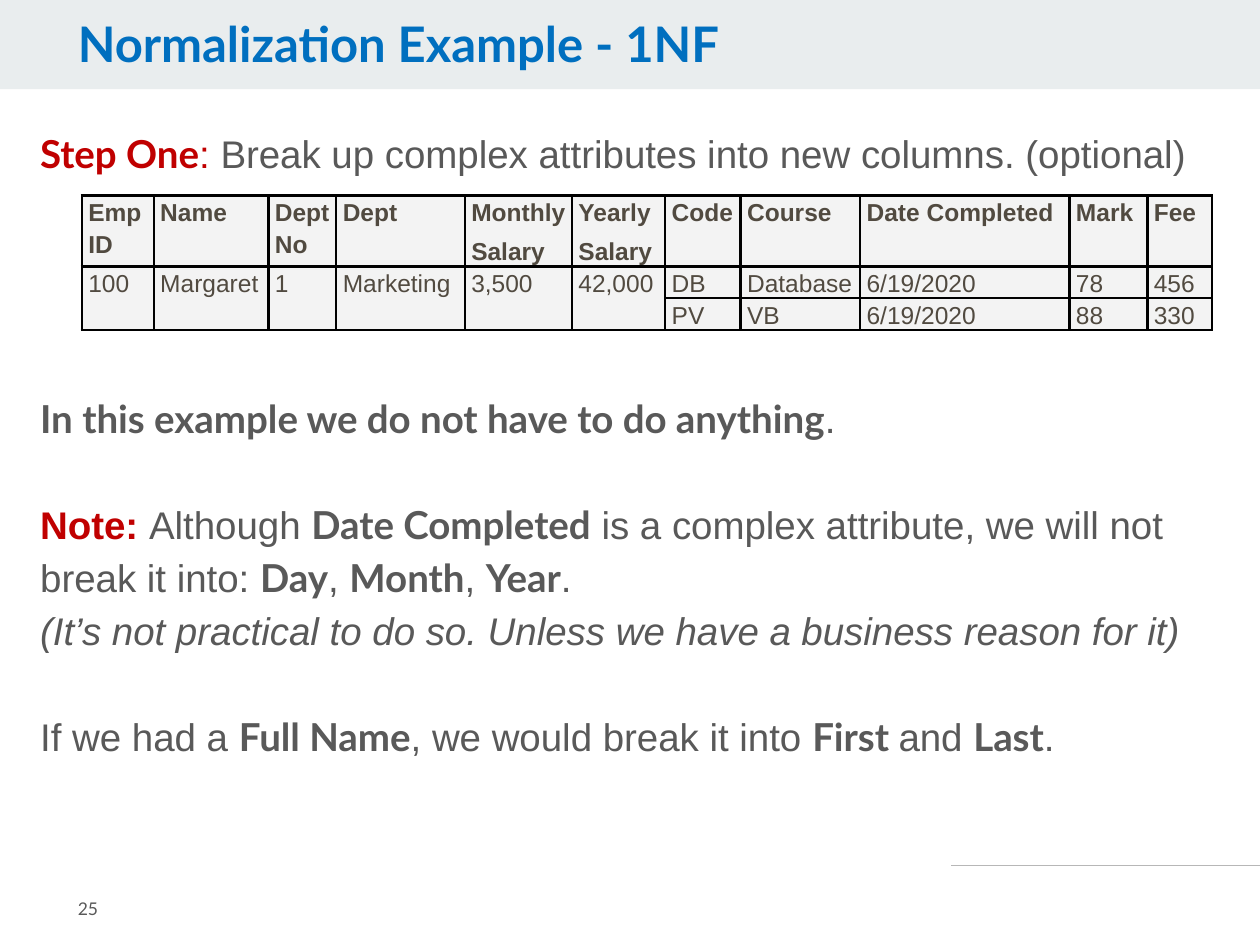
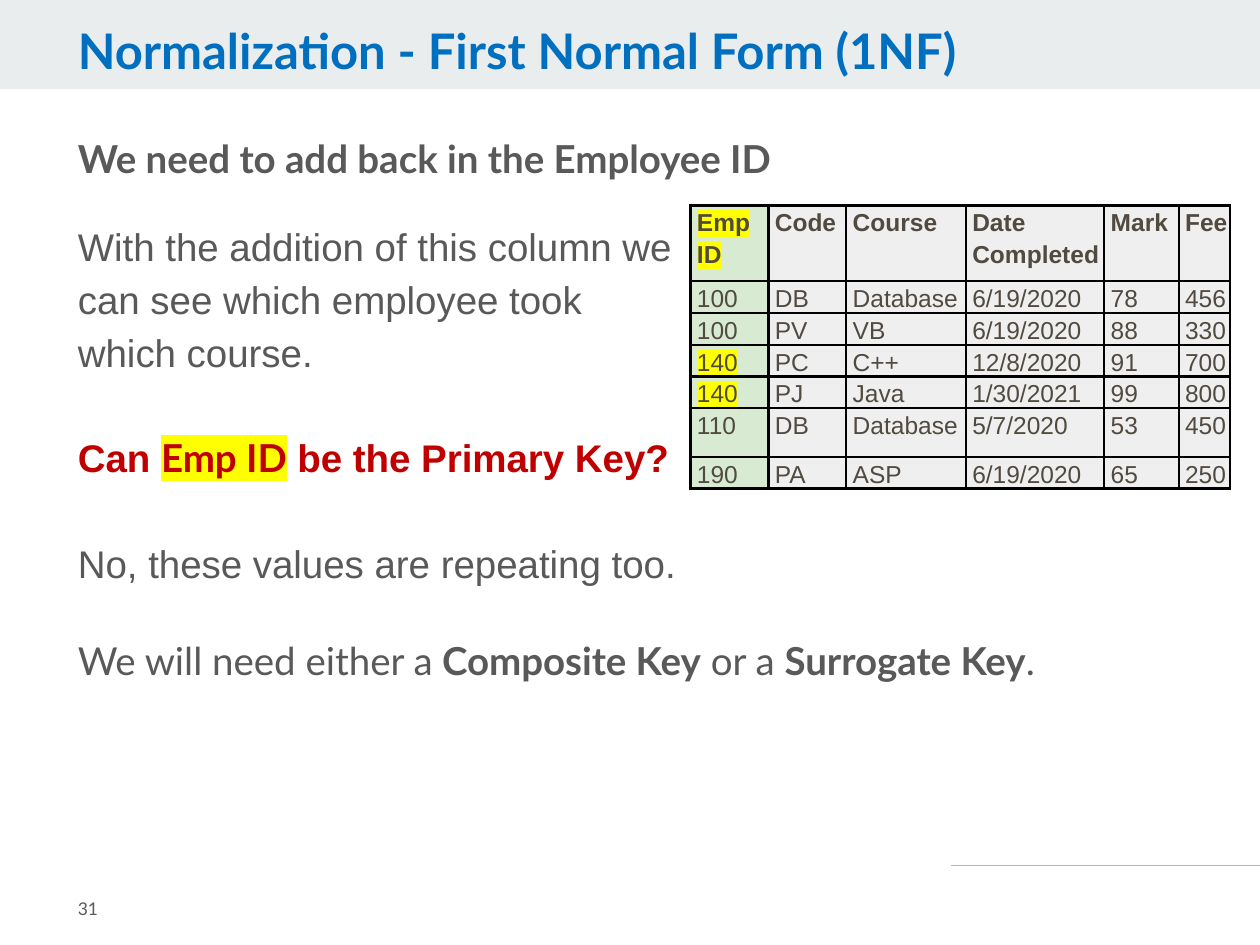
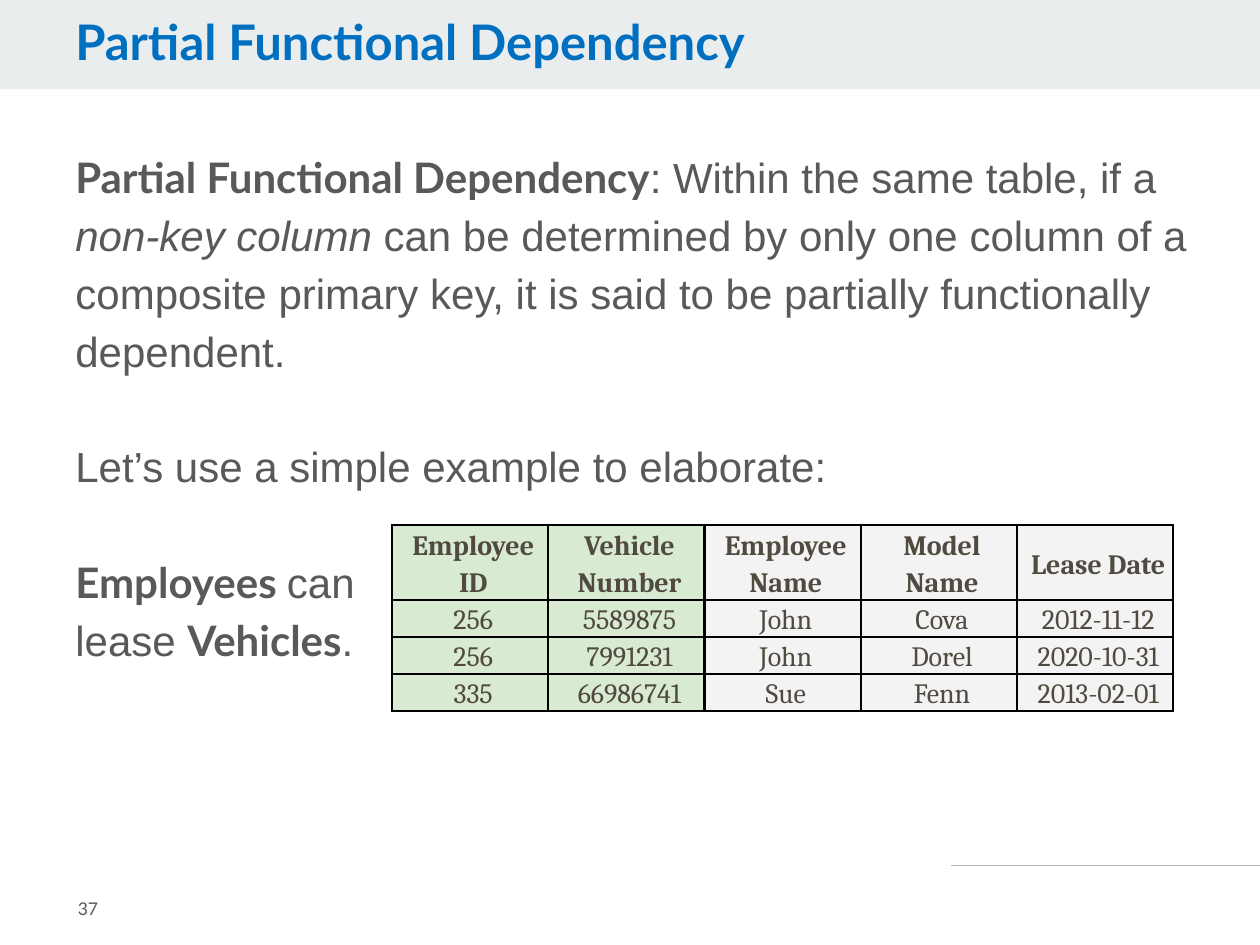
"""Build three slides on first normal form and partial functional dependency."""
from lxml import etree
from pptx import Presentation
from pptx import util as u
from pptx.dml.color import RGBColor
from pptx.enum import shapes, text
from pptx.oxml import parse_xml
from pptx.oxml.ns import nsdecls, qn

COLORS = {
    "band": "E9EDEE", "title": "006FBF", "body": "595959", "accent": "C00000",
    "rule": "B7B7B7", "cell": "514A40", "border": "000000", "mark": "FFFF00",
    "grey": "F3F3F3", "silver": "EFEFEF", "key": "D9EAD3",
}
STYLES = {
    "title": ("Lato", True, False, "title"),
    "plain": ("Arial", False, False, "body"),
    "italic": ("Arial", False, True, "body"),
    "lato": ("Lato", False, False, "body"),
    "strong": ("Lato", True, False, "body"),
    "red": ("Arial", False, False, "accent"),
    "red bold": ("Arial", True, False, "accent"),
    "red strong": ("Lato", True, False, "accent"),
    "red marked": ("Lato", True, False, "accent"),
    "Arial head": ("Arial", True, False, "cell"),
    "Arial head marked": ("Arial", True, False, "cell"),
    "Arial cell": ("Arial", False, False, "cell"),
    "Arial cell marked": ("Arial", False, False, "cell"),
    "Cambria head": ("Cambria", True, False, "cell"),
    "Cambria cell": ("Cambria", False, False, "cell"),
}
LEFT = 1.32

PAGES = [
    {
        "number": "25", "title": "Normalization Example - 1NF", "title_at": (LEFT, 0.28),
        "body_at": (0.56, 2.36, 24.51, 12.83), "size": 22,
        "body": [
            (0, [("Step One", "red strong"), (": ", "red"),
                 ("Break up complex attributes into new columns. (optional)", "plain")]),
            (121, [("In this example we do not have to do anything", "strong"), (".", "plain")]),
            (30, [("Note: ", "red bold"), ("Although ", "plain"), ("Date Completed", "strong"),
                  (" is a complex attribute, we will not break it into: ", "plain"),
                  ("Day", "strong"), (", ", "plain"), ("Month", "strong"), (", ", "plain"),
                  ("Year", "strong"), (".", "plain")]),
            (0, [("(It’s not practical to do so. Unless we have a business reason for it)",
                  "italic")]),
            (30, [("If we had a ", "plain"), ("Full Name", "strong"),
                  (", we would break it into ", "plain"), ("First ", "strong"),
                  ("and ", "plain"), ("Last", "strong"), (".", "plain")]),
        ],
        "notes": [],
        "table_at": (1.65, 3.94), "font": "Arial", "table_size": 14, "fill": "grey",
        "key_columns": 0, "merged_columns": 6, "marked": [],
        "columns": [1.45, 2.31, 1.37, 2.59, 2.16, 1.88, 1.52, 2.41, 4.22, 1.57, 1.3],
        "heights": [1.43, 0.63, 0.63],
        "rows": [
            ["Emp ID", "Name", "Dept No", "Dept", "Monthly\nSalary", "Yearly\nSalary",
             "Code", "Course", "Date Completed", "Mark", "Fee"],
            ["100", "Margaret", "1", "Marketing", "3,500", "42,000",
             "DB", "Database", "6/19/2020", "78", "456"],
            ["", "", "", "", "", "", "PV", "VB", "6/19/2020", "88", "330"],
        ],
    },
    {
        "number": "31", "title": "Normalization - First Normal Form (1NF)",
        "title_at": (LEFT, 0.41),
        "body_at": (LEFT, 4.22, 12.62, 8.08), "size": 22,
        "body": [
            (0, [("With the addition of this column we can see which employee took "
                  "which course.", "plain")]),
            (30, [("Can ", "red bold"), ("Emp ID", "red marked"),
                  (" be the Primary Key?", "red bold")]),
            (30, [("No, these values are repeating too.", "plain")]),
        ],
        "notes": [
            ((LEFT, 2.34, 20.8, 1.45), [("We need to add back in the Employee ID", "strong")]),
            ((LEFT, 12.45, 23.37, 1.7),
             [("We will need either a", "lato"), (" Composite Key", "strong"),
              (" or a ", "lato"), ("Surrogate Key", "strong"), (".", "lato")]),
        ],
        "table_at": (13.92, 4.14), "font": "Arial", "table_size": 14, "fill": "silver",
        "key_columns": 1, "merged_columns": 0, "marked": [(0, 0), (3, 0), (4, 0)],
        "columns": [1.57, 1.57, 2.41, 2.79, 1.5, 1.04],
        "heights": [1.53, 0.63, 0.64, 0.64, 0.63, 0.98, 0.63],
        "rows": [
            ["Emp ID", "Code", "Course", "Date Completed", "Mark", "Fee"],
            ["100", "DB", "Database", "6/19/2020", "78", "456"],
            ["100", "PV", "VB", "6/19/2020", "88", "330"],
            ["140", "PC", "C++", "12/8/2020", "91", "700"],
            ["140", "PJ", "Java", "1/30/2021", "99", "800"],
            ["110", "DB", "Database", "5/7/2020", "53", "450"],
            ["190", "PA", "ASP", "6/19/2020", "65", "250"],
        ],
    },
    {
        "number": "37", "title": "Partial Functional Dependency", "title_at": (1.27, 0.23),
        "body_at": (1.27, 2.77, 23.14, 12.67), "size": 24,
        "body": [
            (0, [("Partial Functional Dependency", "strong"),
                 (": Within the same table, if a ", "plain"), ("non-key column ", "italic"),
                 ("can be determined by only one column of a composite primary key, "
                  "it is said to be partially functionally dependent.", "plain")]),
            (33, [("Let’s use a simple example to elaborate:", "plain")]),
            (33, [("Employees ", "strong"), ("can", "plain")]),
            (0, [("lease ", "plain"), ("Vehicles", "strong"), (".", "plain")]),
        ],
        "notes": [],
        "table_at": (7.9, 10.59), "font": "Cambria", "table_size": 16, "fill": "grey",
        "key_columns": 2, "merged_columns": 0, "marked": [],
        "columns": [3.15] * 5,
        "heights": [1.5, 0.74, 0.74, 0.74],
        "rows": [
            ["Employee ID", "Vehicle Number", "Employee Name", "Model Name", "Lease Date"],
            ["256", "5589875", "John", "Cova", "2012-11-12"],
            ["256", "7991231", "John", "Dorel", "2020-10-31"],
            ["335", "66986741", "Sue", "Fenn", "2013-02-01"],
        ],
    },
]


def write(paragraph, pieces, size, before=0, spacing=1.15, align=text.PP_ALIGN.LEFT):
    properties = paragraph._p.get_or_add_pPr()
    properties.set("marL", "0")
    properties.set("indent", "0")
    etree.SubElement(properties, qn("a:buNone"))
    paragraph.alignment = align
    paragraph.line_spacing = spacing
    paragraph.space_before = u.Pt(before)
    paragraph.space_after = u.Pt(0)
    for words, style in pieces:
        run = paragraph.add_run()
        run.text = words
        font, (name, bold, italic, color) = run.font, STYLES[style]
        font.name, font.size, font.bold, font.italic = name, u.Pt(size), bold, italic
        font.color.rgb = RGBColor.from_string(COLORS[color])
        if style.endswith("marked"):
            run._r.rPr.find(qn("a:latin")).addprevious(parse_xml(
                f'<a:highlight {nsdecls("a")}><a:srgbClr val="{COLORS["mark"]}"/></a:highlight>'))


def frame(shape, box, inset, anchor=text.MSO_ANCHOR.TOP):
    shape.left, shape.top, shape.width, shape.height = [u.Cm(length) for length in box]
    area = shape.text_frame
    area.word_wrap = True
    area.auto_size = text.MSO_AUTO_SIZE.NONE
    area.vertical_anchor = anchor
    area.margin_left = area.margin_right = u.Cm(0.25)
    area.margin_top = area.margin_bottom = u.Cm(inset)
    return area


prs = Presentation()
prs.slide_width, prs.slide_height = u.Cm(25.4), u.Cm(19.05)
layout = prs.slide_layouts[1]

for page in PAGES:
    slide = prs.slides.add_slide(layout)

    if page is PAGES[0]:
        band = slide.shapes.add_shape(
            shapes.MSO_SHAPE.RECTANGLE, 0, 0, prs.slide_width, u.Cm(1.8))
        band.shadow.inherit = False
        band.fill.solid()
        band.fill.fore_color.rgb = RGBColor.from_string(COLORS["band"])
        band.line.fill.background()
        rule = slide.shapes.add_connector(
            shapes.MSO_CONNECTOR.STRAIGHT, u.Cm(19.18), u.Cm(17.45), u.Cm(25.4), u.Cm(17.45))
        rule.line.width = u.Pt(0.75)
        rule.line.color.rgb = RGBColor.from_string(COLORS["rule"])
        etree.SubElement(rule.element.spPr, qn("a:effectLst"))
        for position, fixture in enumerate((rule, band), start=2):
            layout.shapes.element.insert(position, fixture.element)

    heading = frame(slide.shapes.title, (*page["title_at"], 20.02, 1.4), 0.13)
    write(heading.paragraphs[0], [(page["title"], "title")], 28, spacing=0.9)

    body = frame(slide.placeholders[1], page["body_at"], 0.13)
    for index, (before, pieces) in enumerate(page["body"]):
        paragraph = body.add_paragraph() if index else body.paragraphs[0]
        write(paragraph, pieces, page["size"], before)

    for box, pieces in page["notes"]:
        note = frame(slide.shapes.add_textbox(0, 0, 0, 0), box, 0.25)
        write(note.paragraphs[0], pieces, page["size"])

    number = frame(slide.shapes.add_textbox(0, 0, 0, 0), (LEFT, 17.6, 3.12, 1.45), 0.25,
                   text.MSO_ANCHOR.MIDDLE)
    write(number.paragraphs[0], [(page["number"], "lato")], 10, spacing=1.0)

    left, top = page["table_at"]
    records = slide.shapes.add_table(
        len(page["rows"]), len(page["columns"]), u.Cm(left), u.Cm(top),
        u.Cm(sum(page["columns"])), u.Cm(sum(page["heights"]))).table
    for column, width in zip(records.columns, page["columns"]):
        column.width = u.Cm(width)
    for row, height in zip(records.rows, page["heights"]):
        row.height = u.Cm(height)
    centred = page["font"] == "Cambria"
    for r, values in enumerate(page["rows"]):
        for c, value in enumerate(values):
            cell = records.cell(r, c)
            for side in ("lnL", "lnR", "lnT", "lnB"):
                cell._tc.get_or_add_tcPr().append(parse_xml(
                    f'<a:{side} {nsdecls("a")} w="{u.Pt(1.5)}"><a:solidFill>'
                    f'<a:srgbClr val="{COLORS["border"]}"/></a:solidFill></a:{side}>'))
            cell.fill.solid()
            shade = "key" if c < page["key_columns"] else page["fill"]
            cell.fill.fore_color.rgb = RGBColor.from_string(COLORS[shade])
            cell.margin_left = u.Cm(0.13)
            cell.margin_right = cell.margin_top = cell.margin_bottom = 0
            cell.vertical_anchor = text.MSO_ANCHOR.MIDDLE if centred else text.MSO_ANCHOR.TOP
            style = page["font"] + (" cell" if r else " head")
            if (r, c) in page["marked"]:
                style += " marked"
            for index, line in enumerate(value.split("\n")):
                area = cell.text_frame
                paragraph = area.add_paragraph() if index else area.paragraphs[0]
                write(paragraph, [(line, style)] if line else [], page["table_size"],
                      4 if index else 0,
                      align=text.PP_ALIGN.CENTER if centred else text.PP_ALIGN.LEFT)
    for c in range(page["merged_columns"]):
        records.cell(1, c).merge(records.cell(2, c))

prs.save("out.pptx")
